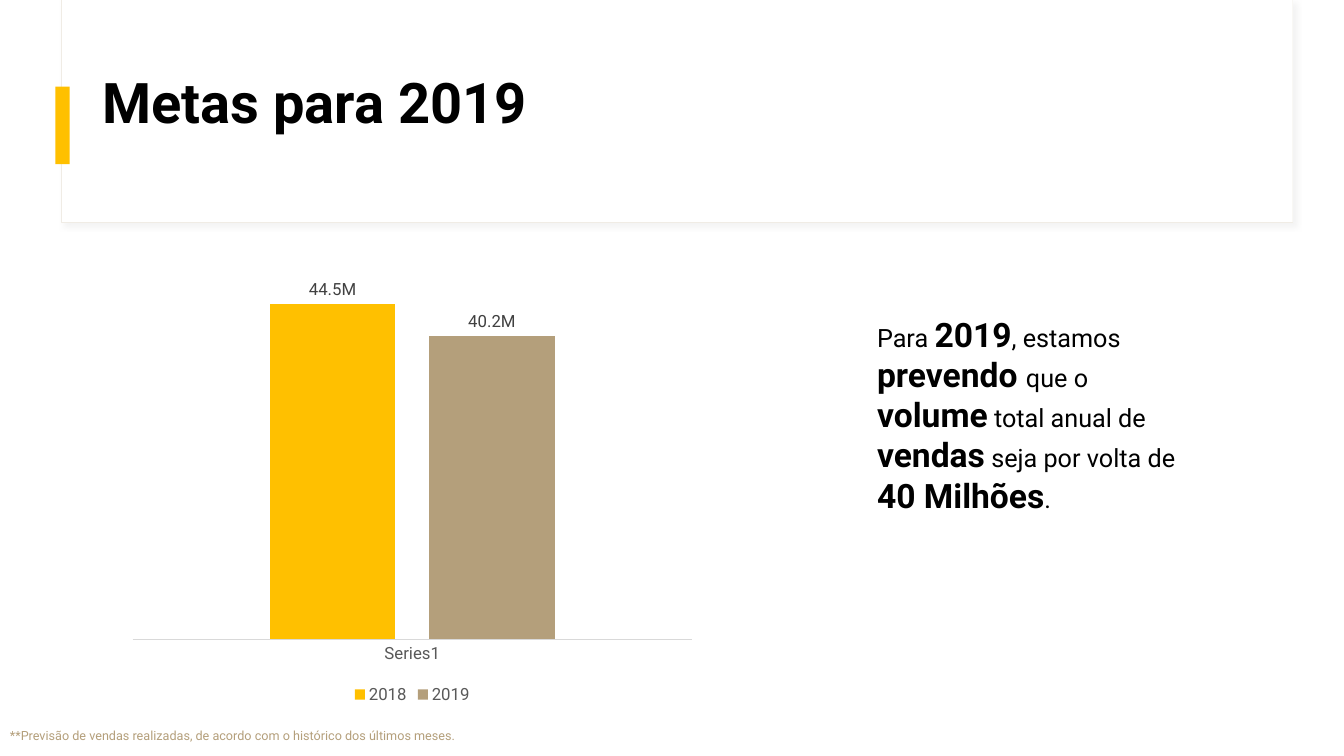
from lxml import etree
from pptx import Presentation
from pptx.chart.data import CategoryChartData
from pptx.dml.color import RGBColor
from pptx.enum.chart import XL_CHART_TYPE as ChartType, XL_LABEL_POSITION as LabelPosition
from pptx.enum.chart import XL_LEGEND_POSITION as LegendPosition, XL_TICK_MARK as TickMark
from pptx.enum.shapes import MSO_SHAPE as Preset
from pptx.enum.text import MSO_ANCHOR as Anchor, MSO_AUTO_SIZE as AutoSize
from pptx.oxml.ns import qn
from pptx.util import Inches, Pt

FONT = "Roboto"
COLORS = {
    "paper": "FFFFFF", "ink": "000000", "gold": "FFC000", "sand": "B49F7B",
    "border": "F0ECE5", "shade": "D9D9D9", "axis": "595959", "label": "404040",
}


def color(name):
    return RGBColor.from_string(COLORS[name])


def within(box, x, y, w, h):
    left, top, width, height = box
    shares = (left + width * x / 100, top + height * y / 100, width * w / 100, height * h / 100)
    return tuple(int(length) for length in shares)


def style(font, size, name, bold=False):
    font.name, font.size, font.bold = FONT, Pt(size), bold
    font.color.rgb = color(name)


def add_panel(slide, box, fill, border=None):
    panel = slide.shapes.add_shape(Preset.RECTANGLE, *box)
    panel.shadow.inherit = False
    panel.fill.solid()
    panel.fill.fore_color.rgb = color(fill)
    if border:
        panel.line.color.rgb = color(border)
        panel.line.width = Pt(0.75)
    else:
        panel.line.fill.background()
    return panel


def add_shadow(panel):
    effects = panel._element.spPr.find(qn("a:effectLst"))
    shadow = etree.SubElement(effects, qn("a:outerShdw"), blurRad=str(Pt(4)), dist=str(Pt(3)),
                              dir=str(45 * 60000), algn="tl", rotWithShape="0")
    shade = etree.SubElement(shadow, qn("a:srgbClr"), val=COLORS["shade"])
    etree.SubElement(shade, qn("a:alpha"), val="30000")


def add_text(slide, box, pieces, name, wrap=True):
    frame = slide.shapes.add_textbox(*box).text_frame
    frame.word_wrap = wrap
    paragraph = frame.paragraphs[0]
    for words, size, bold in pieces:
        run = paragraph.add_run()
        run.text = words
        style(run.font, size, name, bold)
    return frame


def add_header(slide, box, title):
    add_shadow(add_panel(slide, box, "paper", "border"))
    add_panel(slide, within(box, 0.08, 0, 99.92, 99.55), "paper")
    add_panel(slide, within(box, -0.5, 38.9, 1.15, 34.8), "gold")
    heading = add_text(slide, within(box, 2.54, 12.67, 94.1, 50.23), [(title, 40, True)], "ink")
    heading.vertical_anchor = Anchor.BOTTOM
    heading.paragraphs[0].line_spacing = 0.9


def add_sales_chart(slide, box):
    sales = CategoryChartData(number_format="#,##0")
    sales.categories = ["Series1"]
    sales.add_series("2018", [44500000])
    sales.add_series("2019", [40200000])
    chart = slide.shapes.add_chart(ChartType.COLUMN_CLUSTERED, *box, sales).chart
    style(chart.font, 10, "ink")
    chart.has_title = False
    chart.has_legend = True
    chart.legend.position = LegendPosition.BOTTOM
    chart.legend.include_in_layout = False
    style(chart.legend.font, 12, "axis")

    years = chart.category_axis
    years.major_tick_mark = years.minor_tick_mark = TickMark.NONE
    years.format.line.color.rgb = color("shade")
    years.format.line.width = Pt(0.75)
    style(years.tick_labels.font, 12, "axis")
    volume = chart.value_axis
    volume.minimum_scale, volume.maximum_scale = 0, 55000000
    volume.has_major_gridlines = False
    volume.visible = False

    plot = chart.plots[0]
    plot.gap_width, plot.overlap = 219, -27
    plot.vary_by_categories = False
    for year, fill in zip(plot.series, ("gold", "sand")):
        year.format.fill.solid()
        year.format.fill.fore_color.rgb = color(fill)
        labels = year.data_labels
        labels.show_value = True
        labels.number_format = '0.0,,"M"'
        labels.number_format_is_linked = False
        labels.position = LabelPosition.OUTSIDE_END
        style(labels.font, 12, "label")


def add_forecast(slide, box):
    phrases = ["Para ", "2019", ", estamos ", "prevendo ", "que o ", "volume",
               " total anual de ", "vendas", " seja por volta de ", "40 Milhões", "."]
    pieces = [(words, 24 if i % 2 else 18, i % 2 == 1) for i, words in enumerate(phrases)]
    add_text(slide, box, pieces, "ink").auto_size = AutoSize.SHAPE_TO_FIT_TEXT


def add_footnote(slide, box):
    note = "**Previsão de vendas realizadas, de acordo com o histórico dos últimos meses."
    frame = add_text(slide, box, [(note, 9, False)], "sand", wrap=False)
    frame.auto_size = AutoSize.SHAPE_TO_FIT_TEXT


def main():
    deck = Presentation()
    deck.slide_width, deck.slide_height = Inches(13.33), Inches(7.5)
    page = (0, 0, deck.slide_width, deck.slide_height)
    slide = deck.slides.add_slide(deck.slide_layouts[6])
    add_header(slide, within(page, 4.58, 0, 91.6, 29.47), "Metas para 2019")
    add_sales_chart(slide, within(page, 9, 28.4, 43.36, 65.33))
    add_forecast(slide, within(page, 64.52, 40.8, 25.36, 28.27))
    add_footnote(slide, within(page, 0, 95.6, 36.16, 3.33))
    deck.save("out.pptx")


if __name__ == "__main__":
    main()
